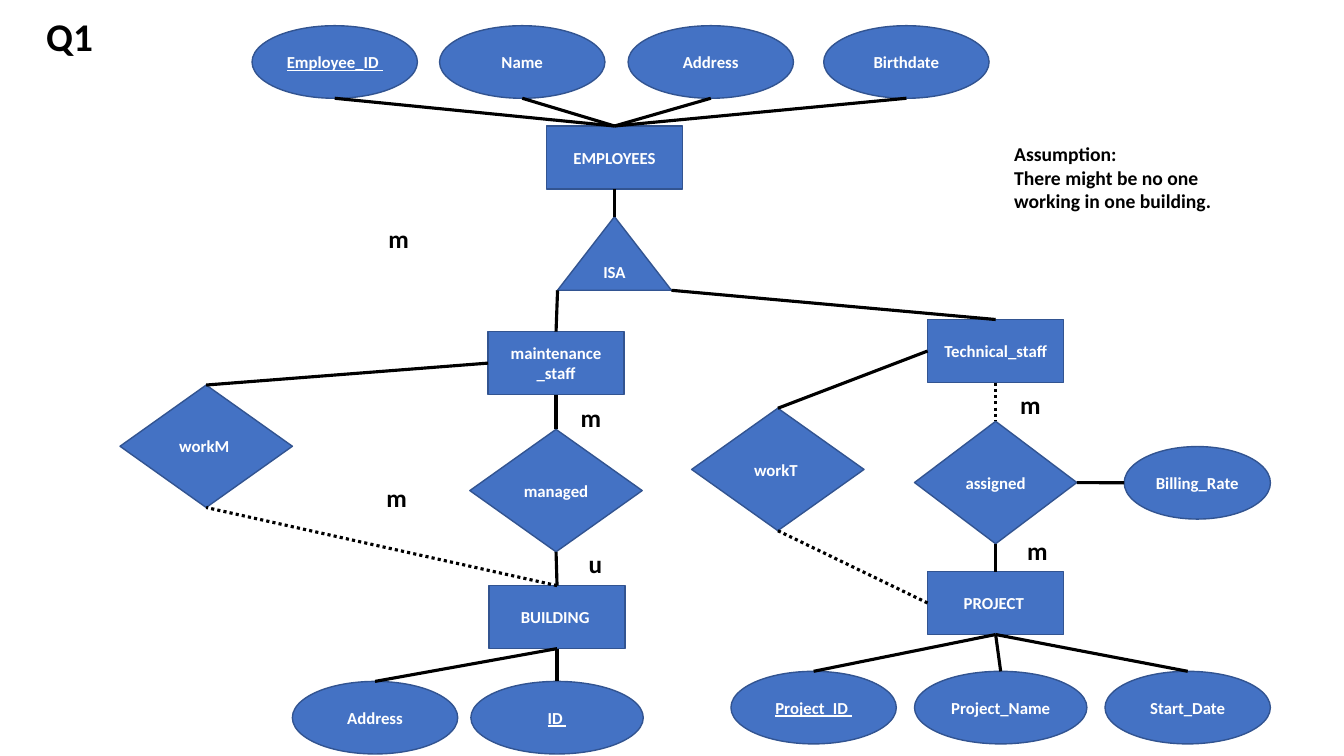
from pptx import Presentation
from pptx.dml.color import RGBColor
from pptx.enum.dml import MSO_LINE
from pptx.enum.shapes import MSO_CONNECTOR, MSO_SHAPE
from pptx.enum.text import MSO_ANCHOR, MSO_AUTO_SIZE, PP_ALIGN
from pptx.util import Inches, Pt
from lxml import etree

RECT, OVAL = MSO_SHAPE.RECTANGLE, MSO_SHAPE.OVAL
DIAMOND, TRIANGLE = MSO_SHAPE.DIAMOND, MSO_SHAPE.ISOSCELES_TRIANGLE
STRAIGHT, DOTTED = MSO_CONNECTOR.STRAIGHT, MSO_LINE.ROUND_DOT
TOP, MIDDLE = MSO_ANCHOR.TOP, MSO_ANCHOR.MIDDLE
LEFT, CENTER = PP_ALIGN.LEFT, PP_ALIGN.CENTER
GROW = MSO_AUTO_SIZE.SHAPE_TO_FIT_TEXT
NS = "http://schemas.openxmlformats.org/drawingml/2006/main"
COLORS = {"fill": "4472C4", "edge": "325491", "light": "FFFFFF", "ink": "000000"}
FONT = {"name": "Calibri", "bold": True}

prs = Presentation()
prs.slide_width, prs.slide_height = Inches(13.33), Inches(7.5)
col, row = prs.slide_width / 133.3, prs.slide_height / 75
s = prs.slides.add_slide(prs.slide_layouts[5])


def box(x, y, w, h):
    return [round(v) for v in (x * col, y * row, w * col, h * row)]


def write(sp, lines, size, color, align=CENTER, anchor=TOP, underline=None):
    tf = sp.text_frame
    tf.word_wrap = True
    tf.vertical_anchor = anchor
    for i, line in enumerate(lines):
        p = tf.paragraphs[0] if i == 0 else tf.add_paragraph()
        p.alignment = align
        r = p.add_run()
        r.text = line
        for key, value in {**FONT, "size": Pt(size), "underline": underline}.items():
            setattr(r.font, key, value)
        r.font.color.rgb = RGBColor.from_string(COLORS[color])


title = s.shapes.title
title.left, title.top, title.width, title.height = box(0, 0.7, 13.8, 5.7)
write(title, ["Q1"], 28, "ink")
title.text_frame.auto_size = GROW

ENTITY, ATTRIBUTE, WIDE = (RECT, 13.5, 6.25), (OVAL, 16.4, 7.2), (OVAL, 17.1, 7.2)
RELATION = (DIAMOND, 17.1, 12.15)
nodes = {
    "employees": (ENTITY, 54.2, 12.5, "EMPLOYEES"),
    "employee id": (ATTRIBUTE, 25, 2.55, "Employee_ID "),
    "name": (ATTRIBUTE, 43.6, 2.55, "Name"),
    "home address": (ATTRIBUTE, 62.3, 2.55, "Address"),
    "birthdate": (ATTRIBUTE, 81.7, 2.55, "Birthdate"),
    "isa": ((TRIANGLE, 11.3, 7.3), 55.3, 21.5, "ISA"),
    "maintenance": (ENTITY, 48.4, 32.9, "maintenance _staff"),
    "technical": (ENTITY, 92, 31.7, "Technical_staff"),
    "project": (ENTITY, 92, 56.7, "PROJECT "),
    "assigned": ((DIAMOND, 16.1, 12.15), 90.7, 41.8, "assigned"),
    "project id": (ATTRIBUTE, 72.5, 66.6, "Project_ID "),
    "project name": (WIDE, 90.7, 66.6, "Project_Name"),
    "start date": (ATTRIBUTE, 109.6, 66.6, "Start_Date"),
    "billing rate": ((OVAL, 14.5, 7.2), 111.5, 44.3, "Billing_Rate"),
    "building": (ENTITY, 48.5, 58.1, "BUILDING "),
    "managed": (RELATION, 46.6, 42.6, "managed "),
    "building address": (ATTRIBUTE, 29, 67.6, "Address"),
    "building id": (WIDE, 46.7, 67.6, "ID "),
    "workM": (RELATION, 11.9, 38.2, "workM "),
    "workT": (RELATION, 68.6, 40.5, "workT "),
}
keys = {"employee id", "project id", "building id"}
shapes = {}
for name, ((kind, w, h), x, y, text) in nodes.items():
    sp = shapes[name] = s.shapes.add_shape(kind, *box(x, y, w, h))
    sp.shadow.inherit = False
    sp.fill.solid()
    sp.fill.fore_color.rgb = RGBColor.from_string(COLORS["fill"])
    sp.line.color.rgb = RGBColor.from_string(COLORS["edge"])
    sp.line.width = Pt(1)
    write(sp, [text], 12, "light", anchor=MIDDLE, underline=name in keys or None)

SIDES = {"top": (0.5, 0), "bottom": (0.5, 1), "left": (0, 0.5), "right": (1, 0.5),
         "bottom left": (0, 1), "bottom right": (1, 1)}
attributes = {
    ("employees", "top", "bottom"): ["employee id", "name", "home address", "birthdate"],
    ("project", "bottom", "top"): ["project id", "project name", "start date"],
    ("building", "bottom", "top"): ["building address", "building id"],
}
links = [(owner, side, item, end, None)
         for (owner, side, end), items in attributes.items() for item in items]
links += [
    ("employees", "bottom", "isa", "top", None),
    ("isa", "bottom left", "maintenance", "top", None),
    ("isa", "bottom right", "technical", "top", None),
    ("technical", "bottom", "assigned", "top", DOTTED),
    ("project", "top", "assigned", "bottom", None),
    ("assigned", "right", "billing rate", "left", None),
    ("building", "top", "managed", "bottom", None),
    ("managed", "top", "maintenance", "bottom", None),
    ("maintenance", "left", "workM", "top", None),
    ("building", "top", "workM", "bottom", DOTTED),
    ("technical", "left", "workT", "top", None),
    ("project", "left", "workT", "bottom", DOTTED),
]
for start, start_side, end, end_side, dash in links:
    ends = []
    for name, side in ((start, start_side), (end, end_side)):
        sp, (fx, fy) = shapes[name], SIDES[side]
        ends += [round(sp.left + fx * sp.width), round(sp.top + fy * sp.height)]
    line = s.shapes.add_connector(STRAIGHT, *ends)
    line.line.color.rgb = RGBColor.from_string(COLORS["ink"])
    line.line.width = Pt(2.25)
    if dash:
        line.line.dash_style = dash
    etree.SubElement(line._element.spPr, f"{{{NS}}}effectLst")

assumption = ["Assumption:", "There might be no one working in one building."]
labels = [
    (100.9, 52.6, 2, 4, ["m"], 18, CENTER),
    (100.2, 38.1, 2, 4, ["m"], 18, CENTER),
    (57.4, 53.9, 2, 4, ["u"], 18, CENTER),
    (56.6, 39.4, 2, 4, ["m"], 18, CENTER),
    (38.1, 21.7, 1.4, 4, ["m"], 18, CENTER),
    (37.9, 47.4, 1.4, 4, ["m"], 18, CENTER),
    (99.6, 13.6, 21.8, 12.1, assumption, 14, LEFT),
]
for x, y, w, h, lines, size, align in labels:
    sp = s.shapes.add_textbox(*box(x, y, w, h))
    write(sp, lines, size, "ink", align)
    sp.text_frame.auto_size = GROW

prs.save("out.pptx")
